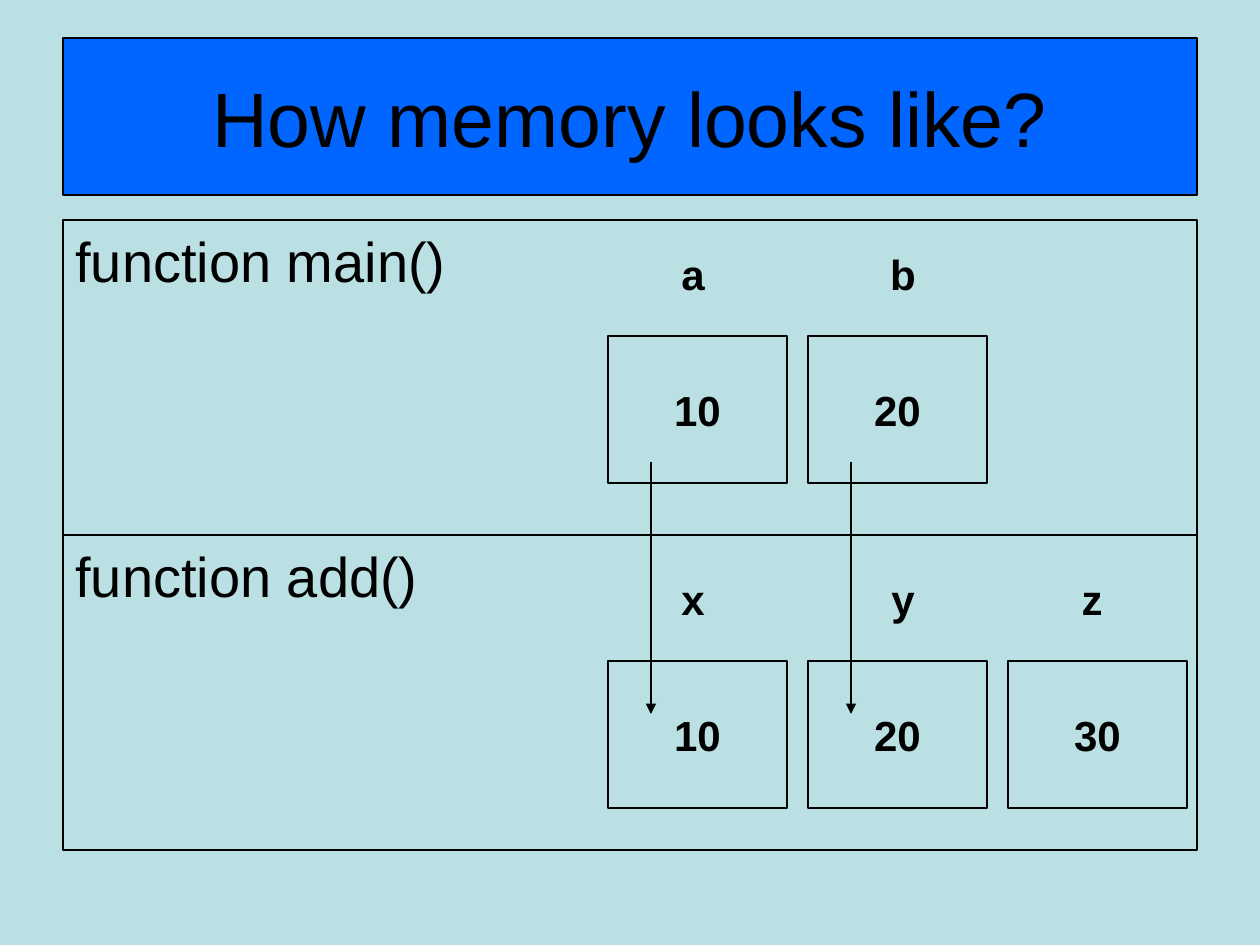
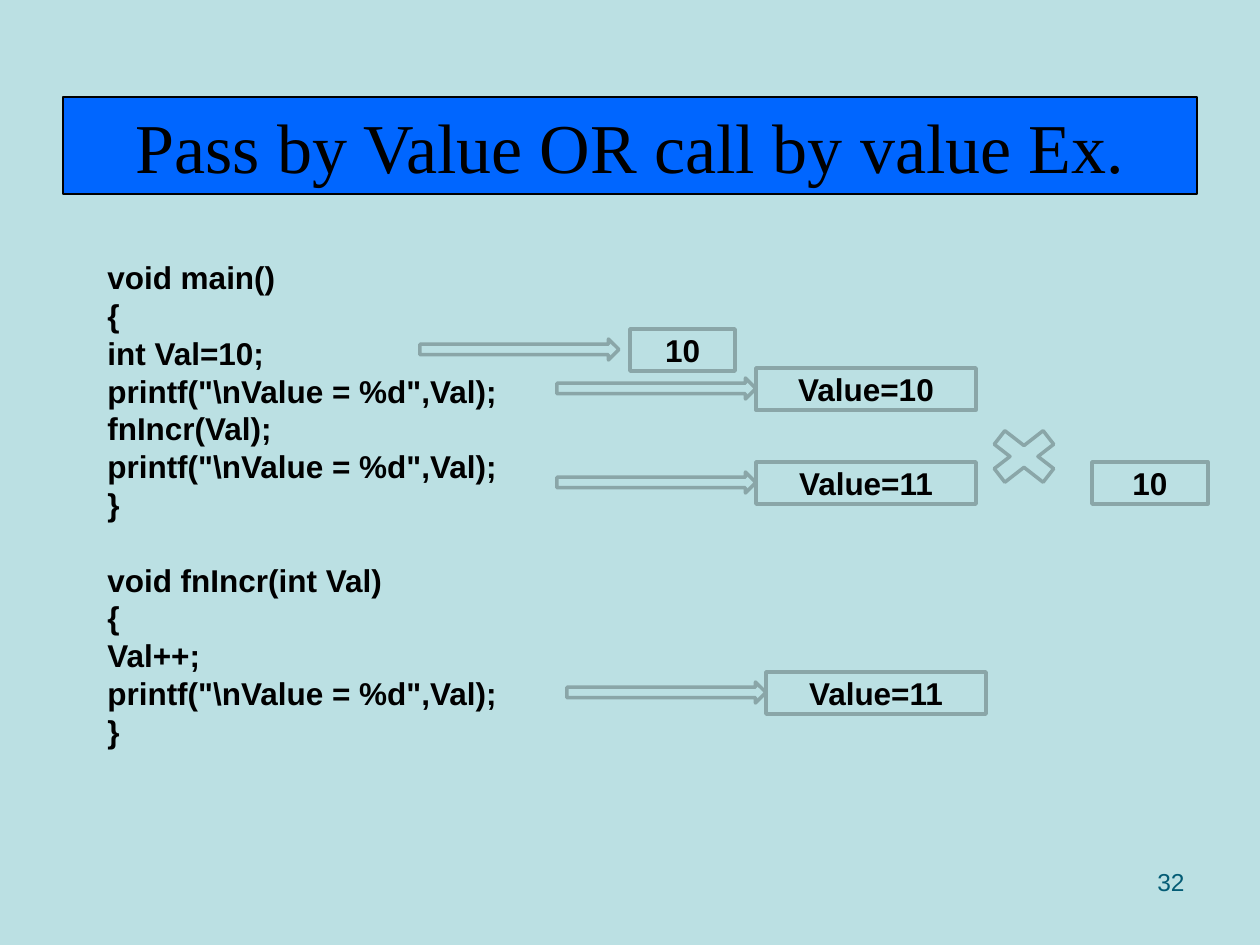
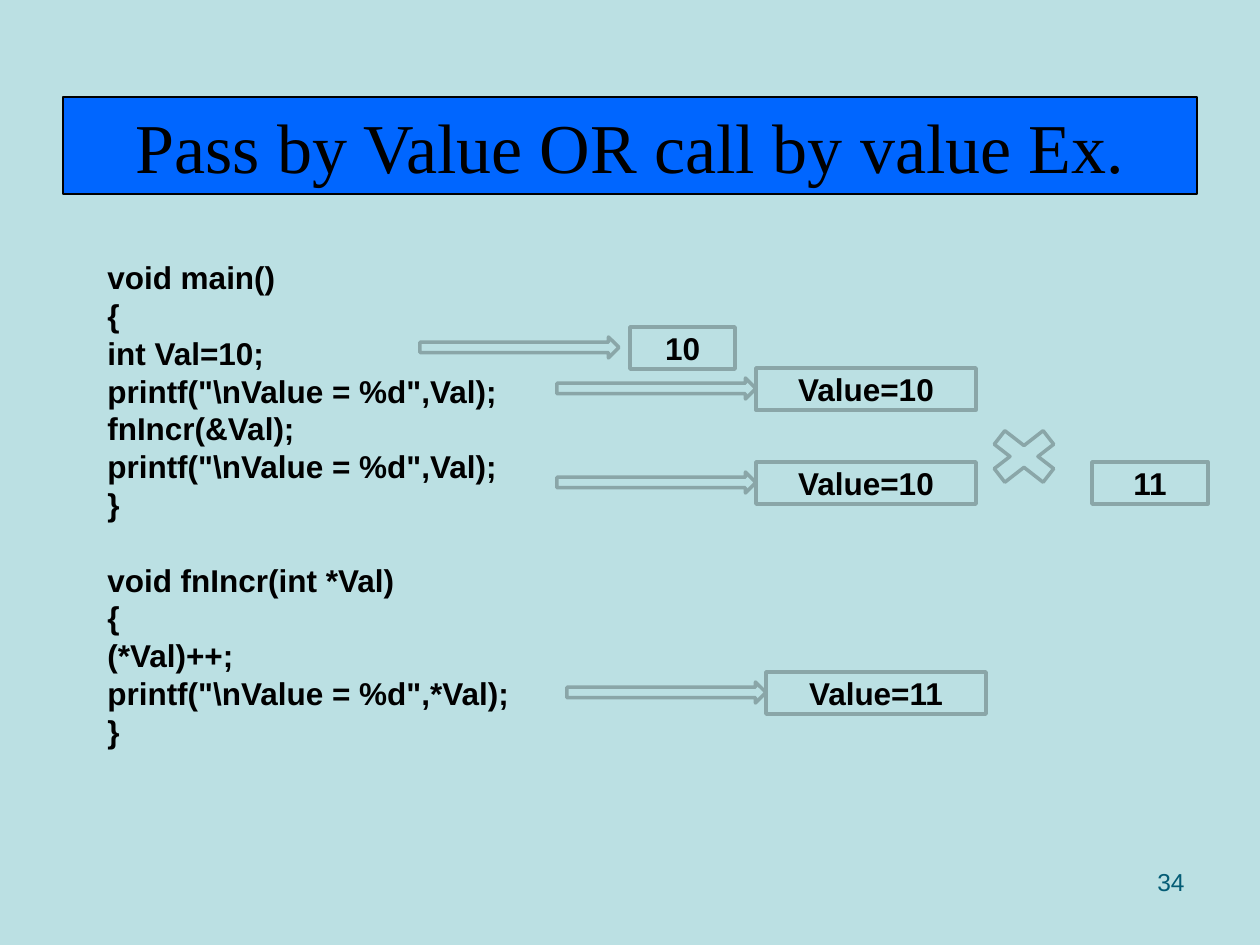
"""Build three slides on how C functions receive their arguments."""
from typing import NamedTuple, Optional

from lxml.etree import SubElement
from pptx import Presentation
from pptx.dml.color import RGBColor
from pptx.enum.shapes import MSO_CONNECTOR, MSO_SHAPE
from pptx.enum.text import MSO_ANCHOR, PP_ALIGN
from pptx.oxml.ns import qn
from pptx.util import Pt

EMU_PER_PX = 914400 / 126
PALE, BLUE, BLACK, GREY, TEAL = "BBE0E3", "0066FF", "000000", "8AA6A8", "045C75"
SANS, SERIF = "Arial", "Times New Roman"
CELL_STEP, CELL_WIDTH, CELL_HEIGHT = 200, 179, 147
VALUE_HEIGHT, POINTER_WIDTH, POINTER_HEIGHT = 42, 199, 21
CODE_LEADING = 21.6


class Box(NamedTuple):
    left: int
    top: int
    width: int
    height: int


class Style(NamedTuple):
    size: int
    bold: bool = False
    font: str = SANS
    color: str = BLACK
    align: PP_ALIGN = PP_ALIGN.CENTER


class Frame(NamedTuple):
    fill: Optional[str] = PALE
    line: str = BLACK
    weight: float = 0.75


class Variable(NamedTuple):
    name: str
    value: str
    name_left: int


class Scope(NamedTuple):
    function: str
    top: int
    names_top: int
    cells_top: int
    variables: list[Variable]


class Output(NamedTuple):
    text: str
    left: int
    top: int
    width: int = 220
    gap: int = 0


class Example(NamedTuple):
    page: str
    main: list[str]
    increment: list[str]
    outputs: list[Output]
    correction: str


TITLE = Style(44)
SERIF_TITLE = Style(40, font=SERIF)
FUNCTION = Style(32, align=PP_ALIGN.LEFT)
CELL = Style(24, bold=True)
VALUE = Style(18, bold=True)
CODE = Style(18, bold=True, align=PP_ALIGN.LEFT)
PAGE = Style(14, color=TEAL, align=PP_ALIGN.RIGHT)
BAND, PANEL, OUTLINE = Frame(BLUE), Frame(None), Frame(line=GREY, weight=2)
PRINT = 'printf("\\nValue = %d",Val);'

SCOPES = [
    Scope("function main()", 220, 242, 336,
          [Variable("a", "10", 609), Variable("b", "20", 819)]),
    Scope("function add()", 535, 567, 661,
          [Variable("x", "10", 609), Variable("y", "20", 819), Variable("z", "30", 1008)]),
]

EXAMPLES = [
    Example(
        "32",
        ["void main()", "{", "int Val=10;", PRINT, "fnIncr(Val);", PRINT, "}"],
        ["void fnIncr(int Val)", "{", "Val++;", PRINT, "}"],
        [Output("10", 630, 329, 105, 11), Output("Value=10", 756, 368),
         Output("Value=11", 756, 462), Output("Value=11", 766, 672)],
        "10",
    ),
    Example(
        "34",
        ["void main()", "{", "int Val=10;", PRINT, "fnIncr(&Val);", PRINT, "}"],
        ["void fnIncr(int *Val)", "{", "(*Val)++;", 'printf("\\nValue = %d",*Val);', "}"],
        [Output("10", 630, 327, 105, 11), Output("Value=10", 756, 368),
         Output("Value=10", 756, 462), Output("Value=11", 766, 672)],
        "11",
    ),
]


def px(length: int) -> int:
    return round(length * EMU_PER_PX)


def rgb(value: str) -> RGBColor:
    return RGBColor.from_string(value)


def place(box: Box) -> list[int]:
    return [px(length) for length in box]


def write(frame, lines: list[str], style: Style, anchor=MSO_ANCHOR.TOP) -> None:
    frame.word_wrap = True
    frame.vertical_anchor = anchor
    for index, line in enumerate(lines):
        paragraph = frame.add_paragraph() if index else frame.paragraphs[0]
        paragraph.text = line
        paragraph.alignment = style.align
        paragraph.font.name = style.font
        paragraph.font.size = Pt(style.size)
        paragraph.font.bold = style.bold
        paragraph.font.color.rgb = rgb(style.color)


def add_text(shapes, box: Box, lines: list[str], style: Style):
    frame = shapes.add_textbox(*place(box)).text_frame
    write(frame, lines, style)
    return frame


def add_figure(shapes, kind: MSO_SHAPE, box: Box, look: Frame):
    figure = shapes.add_shape(kind, *place(box))
    figure.shadow.inherit = False
    if look.fill:
        figure.fill.solid()
        figure.fill.fore_color.rgb = rgb(look.fill)
    else:
        figure.fill.background()
    figure.line.color.rgb = rgb(look.line)
    figure.line.width = Pt(look.weight)
    return figure


def add_label(shapes, box: Box, look: Frame, text: str, style: Style,
              anchor=MSO_ANCHOR.MIDDLE):
    frame = add_figure(shapes, MSO_SHAPE.RECTANGLE, box, look).text_frame
    write(frame, [text], style, anchor)
    return frame


def add_copy_arrow(shapes, x: int, start: int, end: int) -> None:
    arrow = shapes.add_connector(MSO_CONNECTOR.STRAIGHT, px(x), px(start), px(x), px(end))
    arrow.line.color.rgb = rgb(BLACK)
    arrow.line.width = Pt(0.75)
    SubElement(arrow.line._get_or_add_ln(), qn("a:tailEnd"), type="triangle")
    SubElement(arrow._element.spPr, qn("a:effectLst"))


def add_slide(deck, title: str, band: Box, style: Style):
    slide = deck.slides.add_slide(deck.slide_layouts[6])
    slide.background.fill.solid()
    slide.background.fill.fore_color.rgb = rgb(PALE)
    add_label(slide.shapes, band, BAND, title, style)
    return slide.shapes


def draw_scope(shapes, scope: Scope) -> None:
    panel = add_label(shapes, Box(63, scope.top, 1134, 315), PANEL, scope.function,
                      FUNCTION, MSO_ANCHOR.TOP)
    panel.paragraphs[0].space_before = Pt(3)
    for column, variable in enumerate(scope.variables):
        add_text(shapes, Box(variable.name_left, scope.names_top, 168, 63),
                 [variable.name], CELL)
        cell = Box(608 + column * CELL_STEP, scope.cells_top, CELL_WIDTH, CELL_HEIGHT)
        add_label(shapes, cell, Frame(), variable.value, CELL)


def draw_memory(deck) -> None:
    shapes = add_slide(deck, "How memory looks like?", Box(63, 38, 1134, 157), TITLE)
    for scope in SCOPES:
        draw_scope(shapes, scope)
    for column in range(len(SCOPES[0].variables)):
        add_copy_arrow(shapes, 651 + column * CELL_STEP, 462, 714)


def draw_output(shapes, output: Output) -> None:
    pair = shapes.add_group_shape().shapes
    pointer = Box(output.left - output.gap - POINTER_WIDTH,
                  output.top + (VALUE_HEIGHT - POINTER_HEIGHT) // 2,
                  POINTER_WIDTH, POINTER_HEIGHT)
    add_figure(pair, MSO_SHAPE.RIGHT_ARROW, pointer, OUTLINE)
    add_label(pair, Box(output.left, output.top, output.width, VALUE_HEIGHT),
              OUTLINE, output.text, VALUE)


def draw_example(deck, example: Example) -> None:
    shapes = add_slide(deck, "Pass by Value OR call by value Ex.",
                       Box(63, 97, 1134, 97), SERIF_TITLE)
    code = add_text(shapes, Box(95, 252, 630, 509), example.main + example.increment, CODE)
    for paragraph in code.paragraphs:
        paragraph.line_spacing = Pt(CODE_LEADING)
    code.paragraphs[len(example.main)].space_before = Pt(CODE_LEADING)
    for output in example.outputs:
        draw_output(shapes, output)
    add_figure(shapes, MSO_SHAPE.MATH_MULTIPLY, Box(977, 420, 94, 73), OUTLINE)
    add_label(shapes, Box(1092, 462, 116, VALUE_HEIGHT), OUTLINE, example.correction, VALUE)
    add_text(shapes, Box(903, 861, 294, 66), [example.page], PAGE)


def main() -> None:
    deck = Presentation()
    deck.slide_width, deck.slide_height = px(1260), px(945)
    draw_memory(deck)
    for example in EXAMPLES:
        draw_example(deck, example)
    deck.save("out.pptx")


if __name__ == "__main__":
    main()
